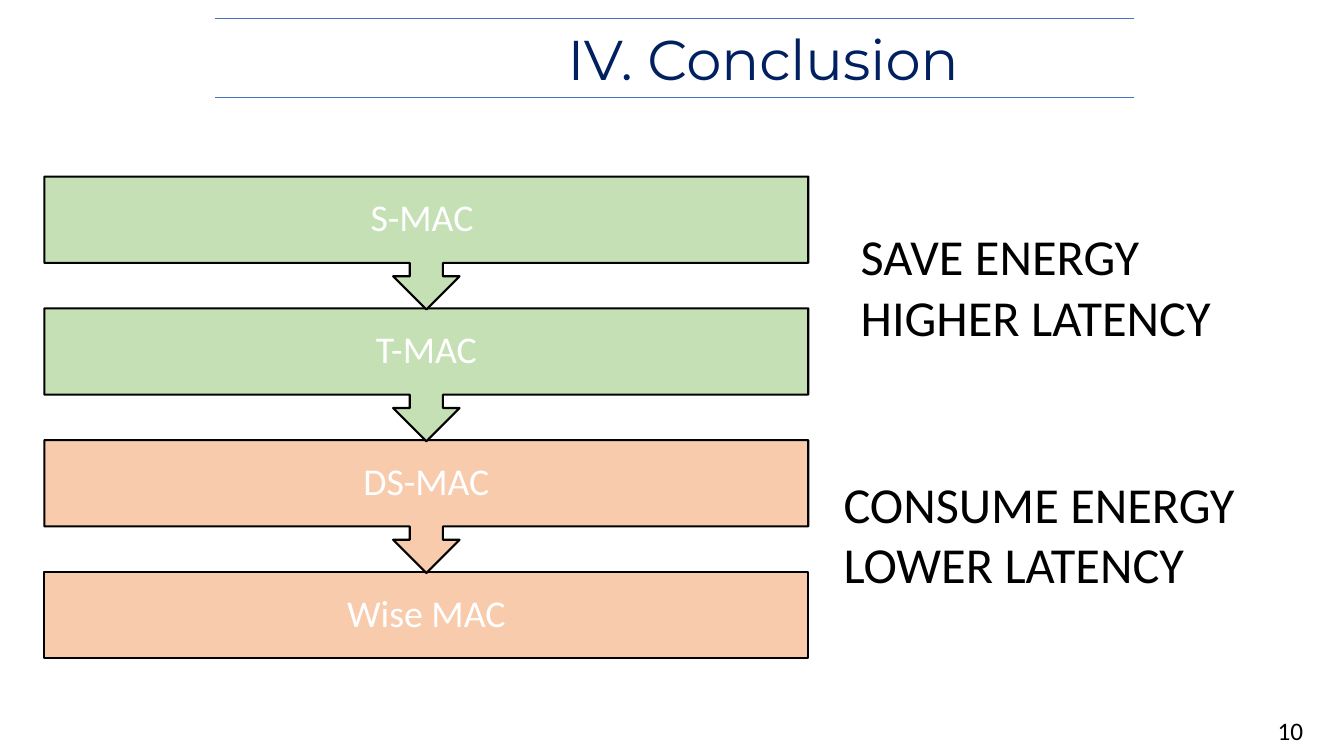
import pptx
import pptx.util
from pptx.dml.color import RGBColor
from pptx.enum.shapes import MSO_CONNECTOR, MSO_SHAPE
from pptx.enum.text import MSO_ANCHOR, PP_ALIGN
from lxml import etree
from pptx.oxml.ns import qn

Cm = pptx.util.Cm
Pt = pptx.util.Pt

COLORS = {
    "title": "002060",
    "rule": "4472C4",
    "text": "000000",
    "outline": "000000",
    "label": "FFFFFF",
    "saving": "C5E0B4",
    "consuming": "F8CBAD",
}
PROTOCOLS = [
    ("S-MAC ", "saving"),
    ("T-MAC", "saving"),
    ("DS-MAC", "consuming"),
    ("Wise MAC", "consuming"),
]


def color(name):
    return RGBColor.from_string(COLORS[name])


def style(paragraph, size, color_name, font="Calibri", align=PP_ALIGN.LEFT):
    paragraph.alignment = align
    paragraph.font.name = font
    paragraph.font.size = Pt(size)
    paragraph.font.color.rgb = color(color_name)


def add_text(slide, box, lines, size, color_name="text", **options):
    """Add a text box with one paragraph per line; box is in cm."""
    frame = slide.shapes.add_textbox(*map(Cm, box)).text_frame
    frame.word_wrap = True
    frame.text = "\n".join(lines)
    for paragraph in frame.paragraphs:
        style(paragraph, size, color_name, **options)


def add_title(slide, left, top, width, height):
    """Add the heading between two horizontal rules."""
    for y in (top, top + height):
        rule = slide.shapes.add_connector(
            MSO_CONNECTOR.STRAIGHT, Cm(left), Cm(y), Cm(left + width), Cm(y))
        rule.line.color.rgb = color("rule")
        rule.line.width = Pt(0.5)
        etree.SubElement(rule._element.spPr, qn("a:effectLst"))
    add_text(slide, (left + 4.6, top + 0.05, 18.44, height - 0.05),
             ["IV. Conclusion"], 40, "title",
             font="Montserrat", align=PP_ALIGN.CENTER)


def add_protocol_flow(slide, left, top, width, height):
    """Stack the protocols, each pointing down to the next."""
    body_height = 2.18
    step = (height - body_height) / (len(PROTOCOLS) - 1)
    # Bottom step first, so that each arrow tip lies over the next box.
    for row, (name, fill) in reversed(list(enumerate(PROTOCOLS))):
        is_last = row == len(PROTOCOLS) - 1
        kind = MSO_SHAPE.RECTANGLE if is_last else MSO_SHAPE.DOWN_ARROW_CALLOUT
        protocol = slide.shapes.add_shape(
            kind, Cm(left), Cm(top + row * step), Cm(width),
            Cm(body_height if is_last else step + 0.03))
        protocol.shadow.inherit = False
        protocol.fill.solid()
        protocol.fill.fore_color.rgb = color(fill)
        protocol.line.color.rgb = color("outline")
        protocol.line.width = Pt(1.5)
        frame = protocol.text_frame
        frame.vertical_anchor = MSO_ANCHOR.MIDDLE
        frame.margin_left = frame.margin_right = Cm(0.53)
        frame.margin_top = frame.margin_bottom = Cm(0.53)
        frame.text = name
        style(frame.paragraphs[0], 27, "label", align=PP_ALIGN.CENTER)
        frame.paragraphs[0].line_spacing = 0.9


def build_conclusion(presentation):
    slide = presentation.slides.add_slide(presentation.slide_layouts[6])
    add_text(slide, (31.95, 17.91, 1.9, 1.02), ["10"], 18)
    add_title(slide, 5.41, 0.45, 23.18, 2.01)
    add_protocol_flow(slide, 1.12, 4.45, 19.25, 12.14)
    add_text(slide, (21.44, 5.56, 11.3, 3.33),
             ["SAVE ENERGY", "HIGHER LATENCY"], 36)
    add_text(slide, (21.01, 11.79, 12.17, 4.88),
             ["CONSUME ENERGY", "LOWER LATENCY"], 36)


def main():
    presentation = pptx.Presentation()
    presentation.slide_width = Cm(33.87)
    presentation.slide_height = Cm(19.05)
    build_conclusion(presentation)
    presentation.save("out.pptx")


if __name__ == "__main__":
    main()
